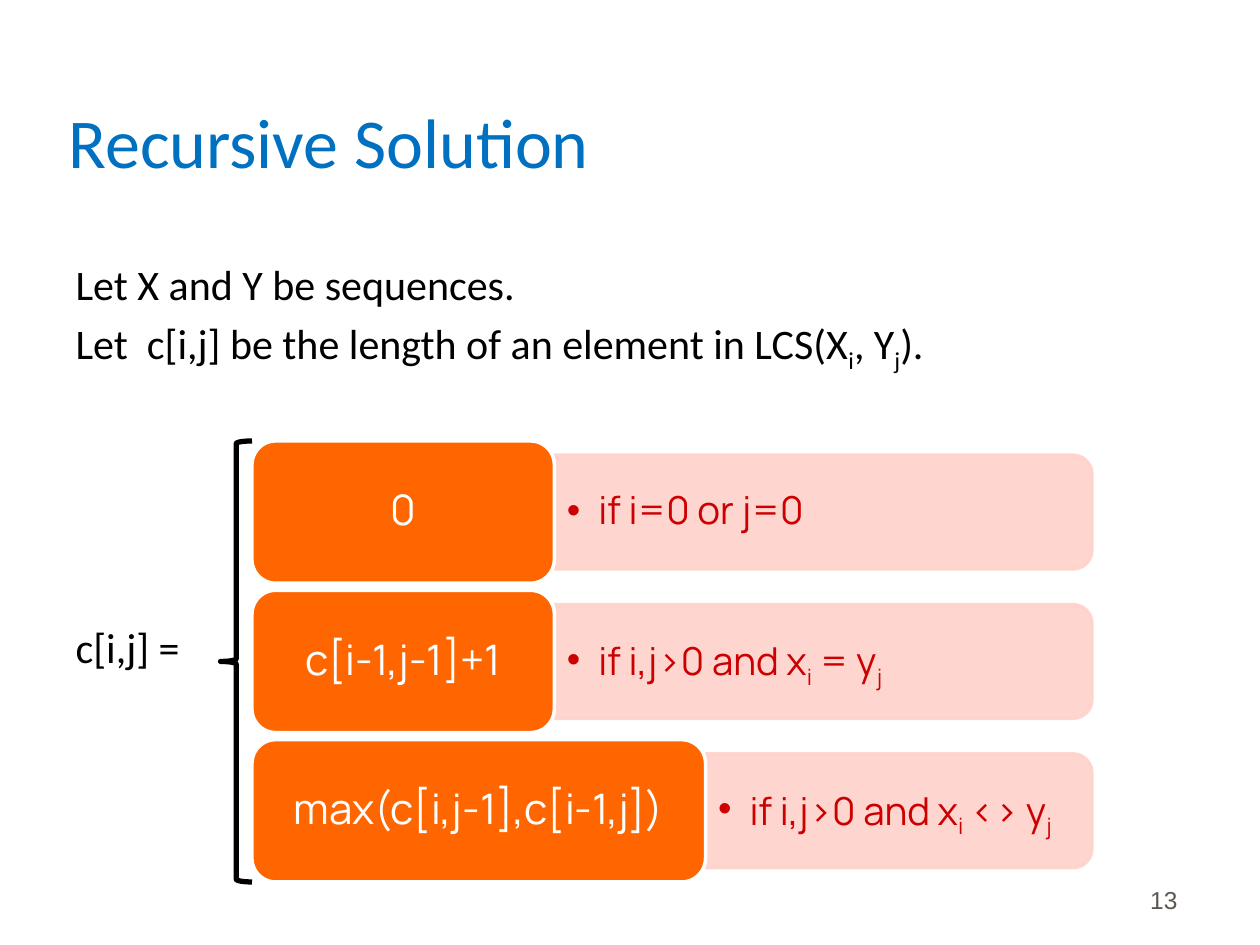
"""Build the slide that defines the recursive solution for the LCS length."""
from dataclasses import dataclass

from lxml import etree
from pptx import Presentation
from pptx.dml.color import RGBColor
from pptx.enum import shapes, text
from pptx.oxml import ns
from pptx.util import Pt


@dataclass(frozen=True)
class Theme:
    title: str = "0070C0"
    ink: str = "000000"
    card: str = "FF6600"
    paper: str = "FFFFFF"
    bar: str = "FFD2CA"
    condition: str = "CC0000"
    number: str = "5E574E"
    body_font: str = "Calibri"
    case_font: str = "Manrope"
    number_font: str = "Arial"
    title_size: int = 40
    body_size: int = 24
    condition_size: int = 22
    number_size: int = 14


class Page:
    def __init__(self, deck, theme):
        self.theme = theme
        self.slide = deck.slides.add_slide(deck.slide_layouts[1])

    def place(self, box, left, top, width, height):
        box.left, box.top, box.width, box.height = map(Pt, (left, top, width, height))

    def frame(self, box, anchor):
        frame = box.text_frame
        frame.word_wrap = True
        frame.auto_size = text.MSO_AUTO_SIZE.NONE
        frame.vertical_anchor = anchor
        return frame

    def add_spans(self, para, parts, font, size, color):
        for index, part in enumerate(parts):
            span = para.add_run()
            span.text = part
            span.font.name = font
            span.font.size = Pt(size)
            span.font.color.rgb = RGBColor.from_string(color)
            if index % 2:
                span._r.get_or_add_rPr().set("baseline", "-25000")

    def bullet(self, para, mark, indent):
        props = para._p.get_or_add_pPr()
        props.set("marL", str(Pt(indent)))
        props.set("indent", str(-Pt(indent)))
        if mark:
            etree.SubElement(props, ns.qn("a:buFont")).set("typeface", "Arial")
            etree.SubElement(props, ns.qn("a:buChar")).set("char", mark)
        else:
            etree.SubElement(props, ns.qn("a:buNone"))

    def title(self, words):
        box = self.slide.shapes.title
        self.place(box, 32, 18, 612, 90)
        para = self.frame(box, text.MSO_ANCHOR.BOTTOM).paragraphs[0]
        para.alignment = text.PP_ALIGN.LEFT
        self.add_spans(para, [words], self.theme.body_font, self.theme.title_size, self.theme.title)

    def body(self, lines):
        box = self.slide.placeholders[1]
        self.place(box, 36, 144, 644, 328)
        frame = self.frame(box, text.MSO_ANCHOR.TOP)
        for index, (gap, parts) in enumerate(lines):
            para = frame.add_paragraph() if index else frame.paragraphs[0]
            para.space_before = Pt(gap)
            self.bullet(para, None, 27)
            self.add_spans(para, parts, self.theme.body_font, self.theme.body_size, self.theme.ink)

    def label(self, area, parts, font, size, color, align, anchor, mark=None):
        box = self.slide.shapes.add_textbox(*map(Pt, area))
        para = self.frame(box, anchor).paragraphs[0]
        para.alignment = align
        if mark:
            para.line_spacing = 0.9
            self.bullet(para, mark, 18)
        self.add_spans(para, parts, font, size, color)

    def shape(self, kind, area, fill, line, weight, adjustments):
        box = self.slide.shapes.add_shape(kind, *map(Pt, area))
        box.shadow.inherit = False
        if fill:
            box.fill.solid()
            box.fill.fore_color.rgb = RGBColor.from_string(fill)
        else:
            box.fill.background()
        box.line.color.rgb = RGBColor.from_string(line)
        box.line.width = Pt(weight)
        for index, value in enumerate(adjustments):
            box.adjustments[index] = value
        return box

    def bar(self, left, top, width, height):
        area = (left + (width - height) / 2, top + (height - width) / 2, height, width)
        color = self.theme.bar
        box = self.shape(shapes.MSO_SHAPE.ROUND_2_SAME_RECTANGLE, area, color, color, 2, (0.167, 0))
        box.rotation = 90
        for tint in box._element.spPr.iter(ns.qn("a:srgbClr")):
            etree.SubElement(tint, ns.qn("a:alpha")).set("val", "90000")

    def card(self, area, words):
        theme = self.theme
        box = self.shape(shapes.MSO_SHAPE.ROUNDED_RECTANGLE, area, theme.card, theme.paper, 2, (0.167,))
        para = self.frame(box, text.MSO_ANCHOR.MIDDLE).paragraphs[0]
        para.alignment = text.PP_ALIGN.CENTER
        para.line_spacing = 0.9
        self.add_spans(para, [words], theme.case_font, theme.body_size, theme.paper)

    def cases(self, left, top, width, height, rows):
        theme = self.theme
        card_height = height / (len(rows) + 0.05 * (len(rows) - 1))
        bar_height = 0.8 * card_height
        for index, (share, value, condition) in enumerate(rows):
            row_top = top + index * 1.05 * card_height
            bar_top = row_top + 0.1 * card_height
            card_width = share * width
            bar_left, bar_width = left + card_width, width - card_width
            self.bar(bar_left, bar_top, bar_width, bar_height)
            self.label((bar_left, bar_top + 3, bar_width - 3, bar_height - 6), condition,
                       theme.case_font, theme.condition_size, theme.condition,
                       text.PP_ALIGN.LEFT, text.MSO_ANCHOR.MIDDLE, "•")
            self.card((left, row_top, card_width, card_height), value)

    def brace(self, area):
        self.shape(shapes.MSO_SHAPE.LEFT_BRACE, area, None, self.theme.ink, 3, (0.084, 0.5))

    def number(self, words):
        theme = self.theme
        self.label((530, 490, 150, 36), [words], theme.number_font, theme.number_size,
                   theme.number, text.PP_ALIGN.RIGHT, text.MSO_ANCHOR.BOTTOM)


def main():
    deck = Presentation()
    deck.slide_width, deck.slide_height = Pt(720), Pt(540)
    page = Page(deck, Theme())
    page.title("Recursive Solution")
    page.body([
        (0, ["Let X and Y be sequences."]),
        (4.8, ["Let  c[i,j] be the length of an element in LCS(X", "i", ", Y", "j", ")."]),
        (141, ["c[i,j] ="]),
    ])
    page.number("13")
    page.cases(144, 252, 480, 252, [
        (0.36, "0", ["if i=0 or j=0"]),
        (0.36, "c[i-1,j-1]+1", ["if i,j>0 and x", "i", " = y", "j"]),
        (0.54, "max(c[i,j-1],c[i-1,j])", ["if i,j>0 and x", "i", " <> y", "j"]),
    ])
    page.brace((126, 252, 18, 252))
    deck.save("out.pptx")


if __name__ == "__main__":
    main()
